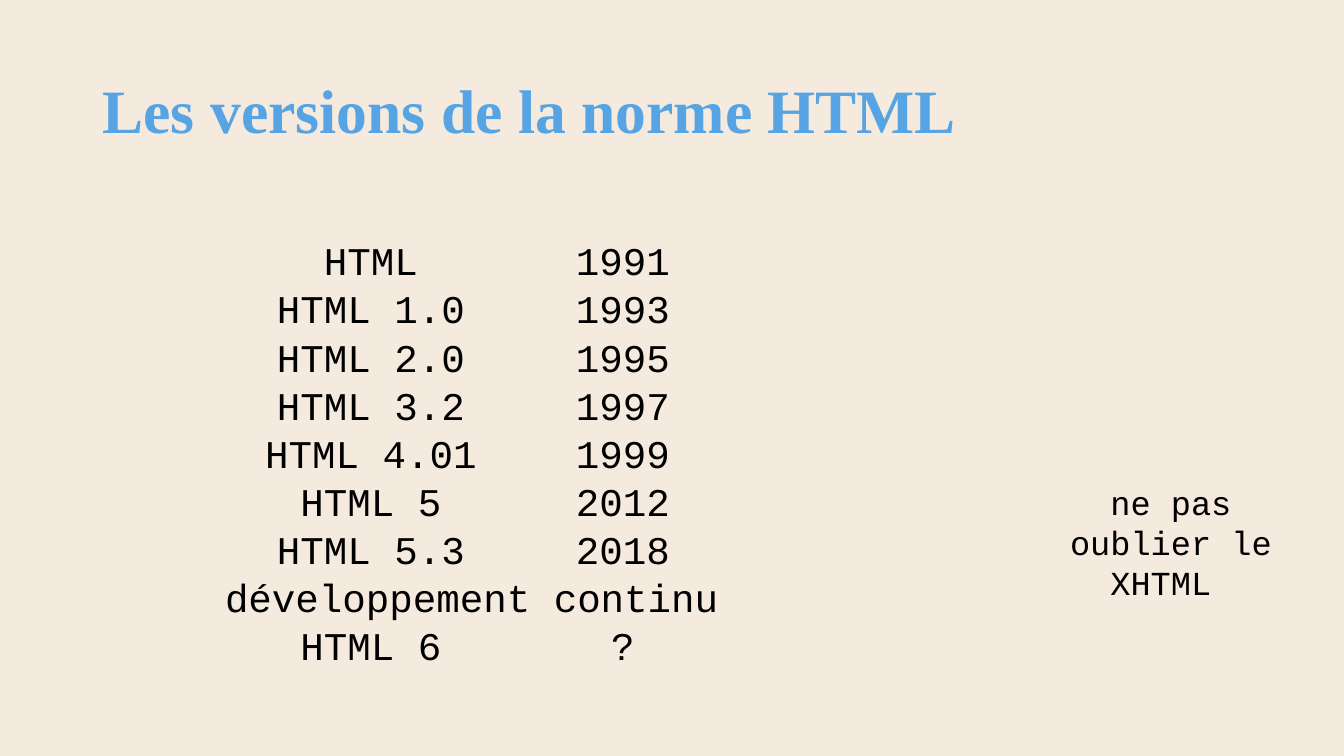
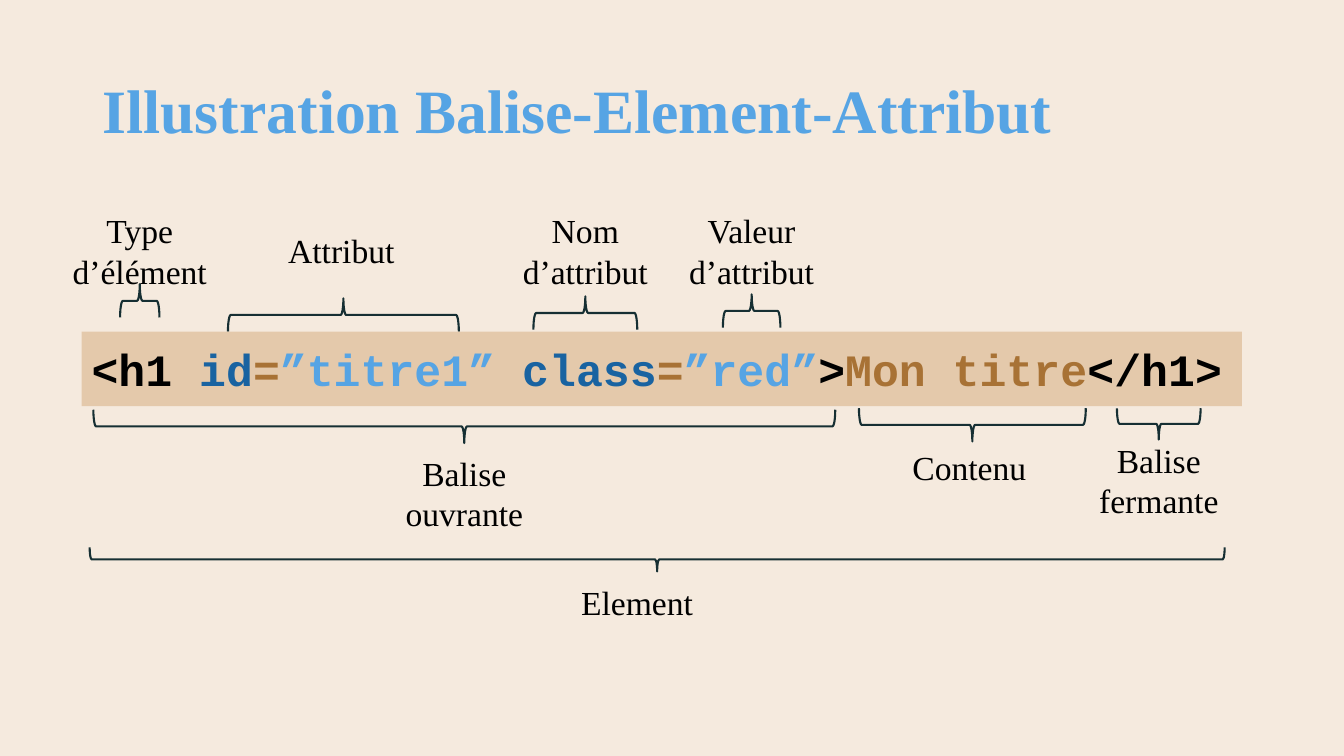
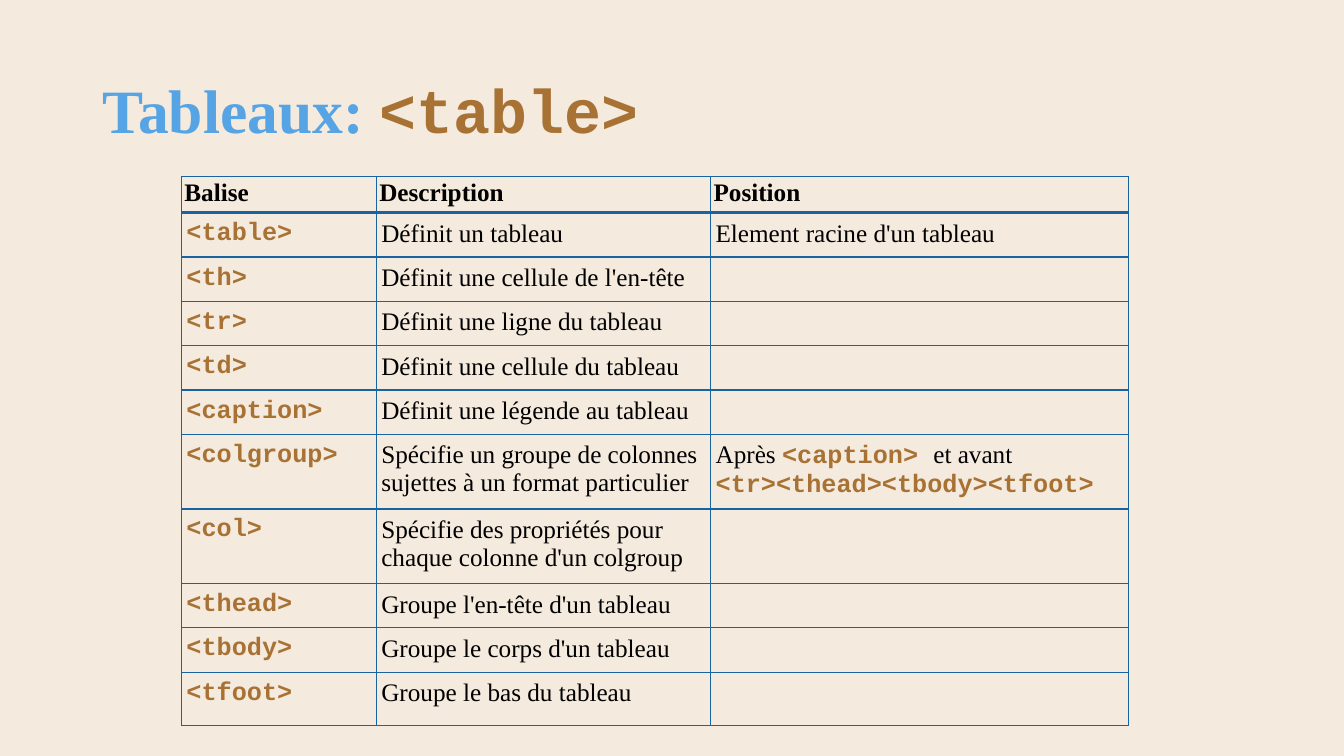
import pptx
import pptx.dml.color
import pptx.enum.shapes
import pptx.enum.text
import pptx.oxml
import pptx.oxml.ns
import pptx.util

COLORS = {
    "background": "F5EADE",
    "band": "E4C9AB",
    "title": "56A4E4",
    "blue": "1963A1",
    "brown": "A87235",
    "brace": "162F33",
    "text": "000000",
}
SERIF = "Times New Roman"
MONO = "Courier New"
CODE = {"font": MONO, "color": "brown", "bold": True}
NO_GRID_STYLE = "{2D5ABB26-0587-4C30-8999-92F81FD0307C}"
CENTER = pptx.enum.text.PP_ALIGN.CENTER
TOP = pptx.enum.text.MSO_ANCHOR.TOP
MIDDLE = pptx.enum.text.MSO_ANCHOR.MIDDLE

presentation = pptx.Presentation()
presentation.slide_width = pptx.util.Inches(13.3333)
presentation.slide_height = pptx.util.Inches(7.5)
COLUMN = presentation.slide_width / 40
ROW = presentation.slide_height / 30


def write(frame, *paragraphs, align=None, spacing=None, anchor=TOP, inset=None, **style):
    frame.word_wrap = True
    frame.vertical_anchor = anchor
    if inset is not None:
        frame.margin_left = frame.margin_right = pptx.util.Inches(inset)
        frame.margin_top = frame.margin_bottom = pptx.util.Inches(inset)
    for index, runs in enumerate(paragraphs):
        paragraph = frame.add_paragraph() if index else frame.paragraphs[0]
        paragraph.alignment = align
        paragraph.line_spacing = spacing
        for text, changes in [(runs, {})] if isinstance(runs, str) else runs:
            look = {"font": SERIF, "color": "text", "bold": False} | style | changes
            run = paragraph.add_run()
            run.text = text
            run.font.name = look["font"]
            run.font.size = pptx.util.Pt(look["size"])
            run.font.bold = look["bold"]
            run.font.color.rgb = pptx.dml.color.RGBColor.from_string(COLORS[look["color"]])


def add_table(slide, left, top, widths, heights):
    frame = slide.shapes.add_table(
        len(heights), len(widths), int(left * COLUMN), int(top * ROW),
        int(sum(widths) * COLUMN), int(sum(heights) * ROW))
    table = frame.table
    table.first_row = table.horz_banding = False
    table._tbl.tblPr.find(pptx.oxml.ns.qn("a:tableStyleId")).text = NO_GRID_STYLE
    for column, width in zip(table.columns, widths):
        column.width = int(width * COLUMN)
    for row, height in zip(table.rows, heights):
        row.height = int(height * ROW)
    for cell in table.iter_cells():
        cell.fill.background()
    return table


master_fill = presentation.slide_master.background.fill
master_fill.solid()
master_fill.fore_color.rgb = pptx.dml.color.RGBColor.from_string(COLORS["background"])

titles = [
    "Les versions de la norme HTML",
    "Illustration Balise-Element-Attribut",
    [("Tableaux: ", {}), ("<table>", CODE)],
]
slides = []
for title in titles:
    slide = presentation.slides.add_slide(presentation.slide_layouts[6])
    box = slide.shapes.add_textbox(
        int(2.76 * COLUMN), int(1.6 * ROW), int(34.5 * COLUMN), int(5.8 * ROW))
    write(box.text_frame, title, size=44, color="title", bold=True, spacing=0.9, anchor=MIDDLE)
    slides.append(slide)
versions_slide, element_slide, table_slide = slides

versions = [
    ("HTML", "1991"),
    ("HTML 1.0", "1993"),
    ("HTML 2.0", "1995"),
    ("HTML 3.2", "1997"),
    ("HTML 4.01", "1999"),
    ("HTML 5", "2012"),
    ("HTML 5.3", "2018"),
    ("développement continu",),
    ("HTML 6", "?"),
]
table = add_table(versions_slide, 6.54, 9.56, [9, 6], [1.8] * len(versions))
for row, texts in enumerate(versions):
    if len(texts) == 1:
        table.cell(row, 0).merge(table.cell(row, 1))
    for column, text in enumerate(texts):
        cell = table.cell(row, column)
        cell.margin_left = cell.margin_right = pptx.util.Inches(0.02)
        cell.margin_top = pptx.util.Inches(0.01)
        cell.margin_bottom = 0
        write(cell.text_frame, text, size=28, font=MONO, align=CENTER)
        cell.vertical_anchor = MIDDLE

note = versions_slide.shapes.add_textbox(
    int(30.87 * COLUMN), int(18.92 * ROW), int(7.95 * COLUMN), int(5.24 * ROW))
write(note.text_frame, "ne pas oublier le XHTML ", size=24, font=MONO, align=CENTER)

UP, DOWN = (90, MIDDLE), (270, TOP)
braces = [
    (["Type", "d’élément"], UP, 4.16, 11.94, 1.17, 1.32, 4.16, 8.56, 4.71),
    (["Attribut"], UP, 10.22, 12.5, 6.87, 1.32, 10.16, 8.56, 4.71),
    (["Nom", "d’attribut"], UP, 17.42, 12.42, 3.09, 1.32, 17.42, 8.56, 4.71),
    (["Valeur", "d’attribut"], UP, 22.37, 12.34, 1.71, 1.32, 22.37, 8.56, 4.71),
    (["Balise ouvrante"], DOWN, 13.82, 16.92, 22.08, 1.32, 13.82, 17.56, 6.45),
    (["Contenu"], DOWN, 28.94, 16.86, 6.75, 1.32, 28.85, 17.33, 5.67),
    (["Balise fermante"], DOWN, 34.49, 16.82, 2.49, 1.24, 34.49, 17.04, 4.71),
    (["Element"], DOWN, 19.56, 22.2, 33.78, 0.96, 18.96, 22.68, 6.36),
]
for lines, (rotation, anchor), center, middle, span, depth, label_center, top, width in braces:
    length, thickness = span * COLUMN, depth * ROW
    brace = element_slide.shapes.add_shape(
        pptx.enum.shapes.MSO_SHAPE.LEFT_BRACE,
        int(center * COLUMN - thickness / 2), int(middle * ROW - length / 2),
        int(thickness), int(length))
    brace.rotation = rotation
    brace.shadow.inherit = False
    brace.fill.background()
    brace.line.color.rgb = pptx.dml.color.RGBColor.from_string(COLORS["brace"])
    brace.line.width = pptx.util.Pt(1.5)
    label = element_slide.shapes.add_textbox(
        int((label_center - width / 2) * COLUMN), int(top * ROW),
        int(width * COLUMN), int(2.76 * ROW))
    write(label.text_frame, *lines, size=24, align=CENTER, anchor=anchor, inset=0.1)

band = element_slide.shapes.add_shape(
    pptx.enum.shapes.MSO_SHAPE.RECTANGLE,
    int(2.43 * COLUMN), int(13.16 * ROW), int(34.53 * COLUMN), int(2.96 * ROW))
band.shadow.inherit = False
band.fill.solid()
band.fill.fore_color.rgb = pptx.dml.color.RGBColor.from_string(COLORS["band"])
band.line.fill.background()
tokens = [
    ("<h1 ", "text"), ("id", "blue"), ("=", "brown"), ("”titre1” ", "title"),
    ("class", "blue"), ("=", "brown"), ("”red”", "title"), (">", "text"),
    ("Mon titre", "brown"), ("</h1>", "text"),
]
write(band.text_frame, [(text, {"color": color}) for text, color in tokens],
      size=32, font=MONO, bold=True, inset=0.1, align=pptx.enum.text.PP_ALIGN.LEFT)

position = [
    ("Après ", {}), ("<caption> ", CODE), ("et avant ", {}),
    ("<tr><thead><tbody><tfoot>", CODE),
]
tags = [
    (1.36, "Balise", "Description", "Position"),
    (1.74, "<table>", "Définit un tableau", "Element racine d'un tableau"),
    (1.74, "<th>", "Définit une cellule de l'en-tête", ""),
    (1.74, "<tr>", "Définit une ligne du tableau", ""),
    (1.74, "<td>", "Définit une cellule du tableau", ""),
    (1.74, "<caption>", "Définit une légende au tableau", ""),
    (2.9, "<colgroup>", "Spécifie un groupe de colonnes sujettes à un format particulier", position),
    (2.8, "<col>", "Spécifie des propriétés pour chaque colonne d'un colgroup", ""),
    (1.74, "<thead>", "Groupe l'en-tête d'un tableau", ""),
    (1.74, "<tbody>", "Groupe le corps d'un tableau", ""),
    (2.12, "<tfoot>", "Groupe le bas du tableau", ""),
]
table = add_table(table_slide, 5.4, 7, [5.8, 9.95, 12.45], [tag[0] for tag in tags])
for row, (height, *texts) in enumerate(tags):
    for column, text in enumerate(texts):
        cell = table.cell(row, column)
        cell.margin_left = cell.margin_right = pptx.util.Inches(0.05 if row else 0.03)
        cell.margin_top = cell.margin_bottom = pptx.util.Inches(0.07 if row else 0.03)
        style = CODE if row and column == 0 else {"bold": row == 0}
        if text:
            write(cell.text_frame, text, size=18, **style)
        thick_side = {0: "B", 1: "T"}.get(row)
        for index, side in enumerate("LRTB"):
            width = pptx.util.Pt(2 if side == thick_side else 1)
            border = pptx.oxml.parse_xml(
                f'<a:ln{side} {pptx.oxml.ns.nsdecls("a")} w="{int(width)}"><a:solidFill>'
                f'<a:srgbClr val="{COLORS["blue"]}"/></a:solidFill></a:ln{side}>')
            cell._tc.get_or_add_tcPr().insert(index, border)

presentation.save("out.pptx")
